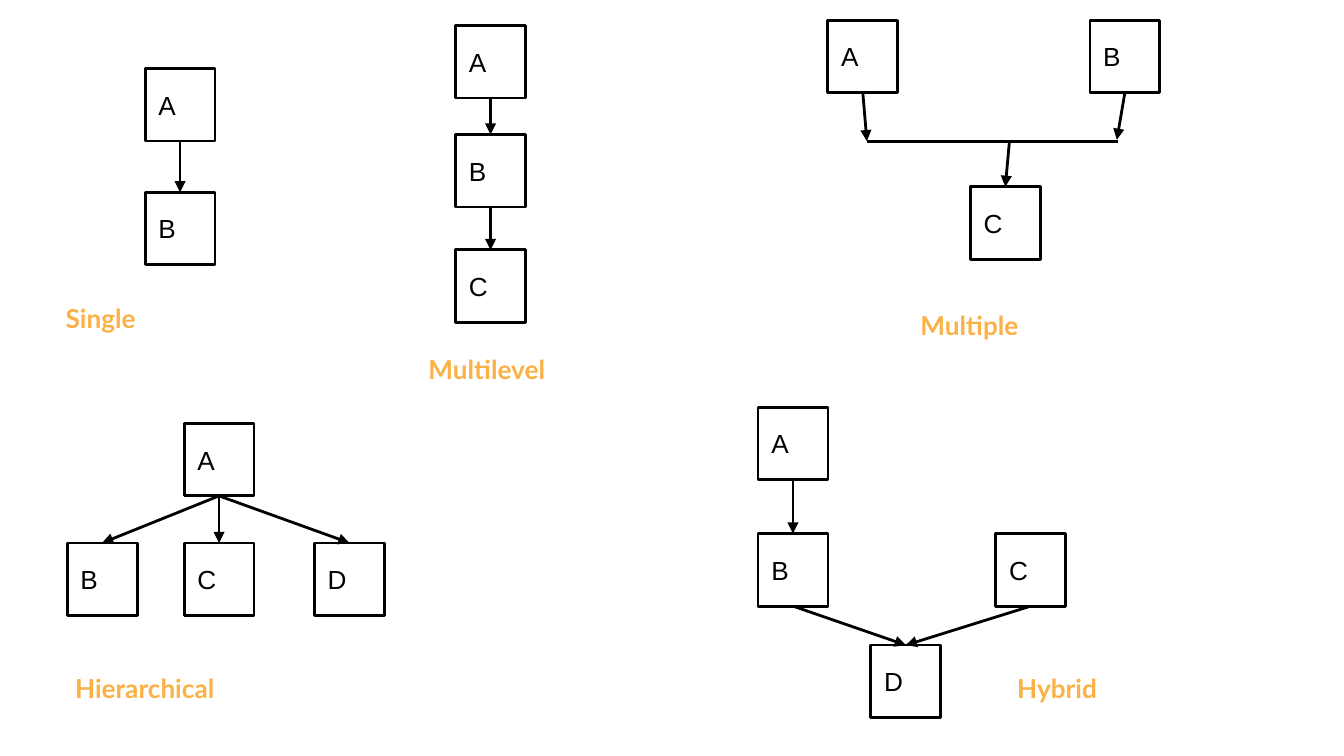
from dataclasses import dataclass

from lxml import etree
from pptx import Presentation
from pptx.dml import color as c
from pptx.enum import shapes, text
from pptx.oxml import ns
from pptx.util import Inches, Pt


@dataclass(frozen=True)
class Theme:
    ink: c.RGBColor = c.RGBColor.from_string("000000")
    paper: c.RGBColor = c.RGBColor.from_string("FFFFFF")
    accent: c.RGBColor = c.RGBColor.from_string("FBB146")
    size: Pt = Pt(14)
    line: Pt = Pt(1.5)
    box_font: str = "Arial"
    label_font: str = "Lato"


THEME = Theme()
BOX_W, BOX_H = 0.52, 0.54
LABEL_H = 0.44
INSET = Inches(0.1)
TOP, BOTTOM = 0, 2

TREES = [
    ("Single", (0.39, 2.15, 0.84),
     {"A": (1.08, 0.51), "B": (1.08, 1.43)}, ["AB"]),
    ("Multilevel", (3.09, 2.53, 1.57),
     {"A": (3.39, 0.19), "B": (3.39, 1), "C": (3.39, 1.86)}, ["AB", "BC"]),
    ("Multiple", (6.75, 2.2, 1.88),
     {"A": (6.16, 0.15), "B": (8.11, 0.15), "C": (7.22, 1.39)}, []),
    ("Hierarchical", (0.46, 4.9, 2.55),
     {"A": (1.37, 3.15), "B": (0.5, 4.04), "C": (1.37, 4.04), "D": (2.34, 4.04)},
     ["AB", "AC", "AD"]),
    ("Hybrid", (7.47, 4.9, 1.5),
     {"A": (5.64, 3.03), "B": (5.64, 3.97), "C": (7.41, 3.97), "D": (6.48, 4.8)},
     ["AB", "BD", "CD"]),
]


def set_text(shape, words, font, color, bold=False):
    frame = shape.text_frame
    frame.word_wrap = True
    frame.margin_left = frame.margin_right = INSET
    frame.margin_top = frame.margin_bottom = INSET
    frame.text = words
    para = frame.paragraphs[0]
    para.alignment = text.PP_ALIGN.LEFT
    run = para.runs[0]
    run.font.name = font
    run.font.size = THEME.size
    run.font.bold = bold
    run.font.color.rgb = color
    return frame


def add_box(slide, name, left, top):
    box = slide.shapes.add_shape(
        shapes.MSO_SHAPE.FLOWCHART_PROCESS,
        Inches(left), Inches(top), Inches(BOX_W), Inches(BOX_H))
    box.shadow.inherit = False
    box.fill.solid()
    box.fill.fore_color.rgb = THEME.paper
    box.line.color.rgb = THEME.ink
    box.line.width = THEME.line
    frame = set_text(box, name, THEME.box_font, THEME.ink)
    frame.vertical_anchor = text.MSO_ANCHOR.MIDDLE
    return box


def add_label(slide, words, left, top, width):
    label = slide.shapes.add_textbox(
        Inches(left), Inches(top), Inches(width), Inches(LABEL_H))
    frame = set_text(label, words, THEME.label_font, THEME.accent, True)
    frame.auto_size = text.MSO_AUTO_SIZE.SHAPE_TO_FIT_TEXT


def add_line(slide, start=(0, 0), end=(0, 0), source=None, target=None, arrow=True):
    line = slide.shapes.add_connector(
        shapes.MSO_CONNECTOR.STRAIGHT, *map(Inches, (*start, *end)))
    if source is not None:
        line.begin_connect(source, BOTTOM)
    if target is not None:
        line.end_connect(target, TOP)
    line.line.color.rgb = THEME.ink
    line.line.width = THEME.line
    if arrow:
        stroke = line.line._get_or_add_ln()
        etree.SubElement(stroke, ns.qn("a:tailEnd"), type="triangle")
    etree.SubElement(line._element.spPr, ns.qn("a:effectLst"))


def add_tree(slide, title, place, nodes, edges):
    boxes = {name: add_box(slide, name, *spot) for name, spot in nodes.items()}
    for head, child in edges:
        add_line(slide, source=boxes[head], target=boxes[child])
    add_label(slide, title, *place)
    return boxes


def add_merge(slide, boxes):
    add_line(slide, (6.45, 1.05), (8.32, 1.05), arrow=False)
    add_line(slide, end=(6.45, 1.05), source=boxes["A"])
    add_line(slide, end=(8.31, 1.04), source=boxes["B"])
    add_line(slide, start=(7.51, 1.06), target=boxes["C"])


def main():
    deck = Presentation()
    deck.slide_width = Inches(10)
    deck.slide_height = deck.slide_width * 9 // 16
    slide = deck.slides.add_slide(deck.slide_layouts[6])
    trees = {tree[0]: add_tree(slide, *tree) for tree in TREES}
    add_merge(slide, trees["Multiple"])
    deck.save("out.pptx")


if __name__ == "__main__":
    main()
